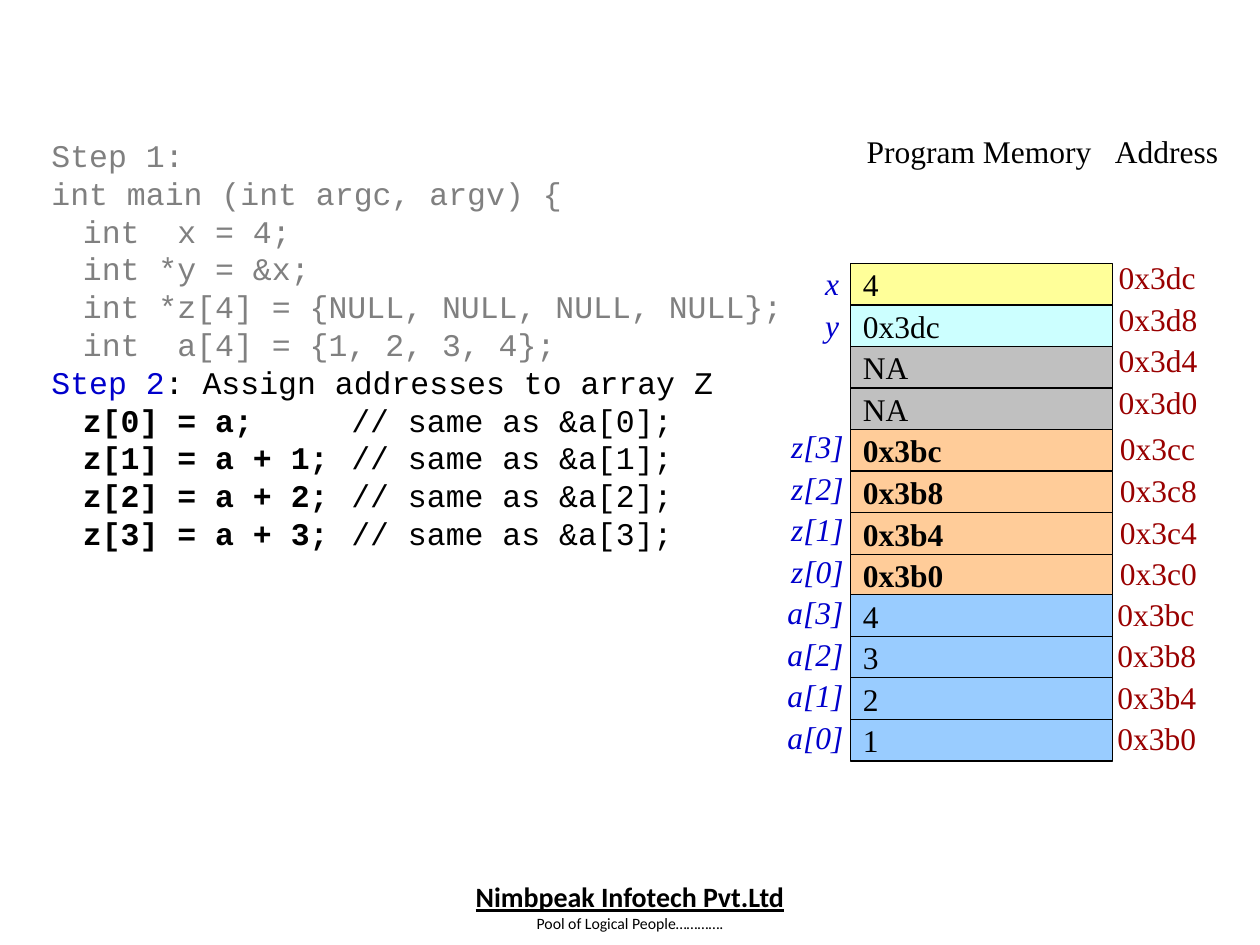
from lxml.etree import SubElement
from pptx import Presentation
from pptx.dml.color import RGBColor
from pptx.enum.shapes import MSO_SHAPE
from pptx.enum.text import MSO_ANCHOR, MSO_AUTO_SIZE, PP_ALIGN
from pptx.oxml.ns import qn
from pptx.util import Inches, Pt

BLACK = RGBColor(0x00, 0x00, 0x00)
GRAY = RGBColor(0x80, 0x80, 0x80)
BLUE = RGBColor(0x00, 0x00, 0xCC)
DARK_RED = RGBColor(0x99, 0x00, 0x00)
YELLOW = RGBColor(0xFF, 0xFF, 0x99)
CYAN = RGBColor(0xCC, 0xFF, 0xFF)
SILVER = RGBColor(0xC0, 0xC0, 0xC0)
ORANGE = RGBColor(0xFF, 0xCC, 0x99)
SKY = RGBColor(0x99, 0xCC, 0xFF)

SERIF, MONO, SANS = "Times New Roman", "Courier New", "Calibri"
ROW_HEIGHT = 0.33


def write(paragraph, text, font=SERIF, size=18, color=BLACK,
          bold=False, italic=False, underline=False):
    """Append one formatted run to the paragraph."""
    run = paragraph.add_run()
    run.text = text
    run.font.name, run.font.size = font, Pt(size)
    run.font.bold, run.font.italic, run.font.underline = bold, italic, underline
    run.font.color.rgb = color


def add_box(left, top, width, height=0.4, wrap=False):
    """Add a text box that grows with its text and return its frame."""
    box = slide.shapes.add_textbox(Inches(left), Inches(top),
                                   Inches(width), Inches(height))
    frame = box.text_frame
    frame.word_wrap = wrap
    frame.auto_size = MSO_AUTO_SIZE.SHAPE_TO_FIT_TEXT
    return frame


prs = Presentation()
prs.slide_width, prs.slide_height = Inches(10), Inches(7.5)
slide = prs.slides.add_slide(prs.slide_layouts[6])

# Footer
footer = slide.shapes.add_table(1, 2, Inches(1.58), Inches(6.99),
                                Inches(6.67), Inches(0.51)).table
footer.first_row = footer.horz_banding = False
footer.columns[0].width, footer.columns[1].width = Inches(0.17), Inches(6.5)
for cell in footer.rows[0].cells:
    cell.fill.background()
    cell.margin_left = cell.margin_right = Inches(0.06)
    cell.margin_top = cell.margin_bottom = 0
footer_text = footer.cell(0, 1).text_frame
company, tagline = footer_text.paragraphs[0], footer_text.add_paragraph()
company.alignment = tagline.alignment = PP_ALIGN.CENTER
write(company, "Nimbpeak Infotech Pvt.Ltd", font=SANS, size=16, bold=True, underline=True)
write(tagline, "Pool of Logical People………….", font=SANS, size=9)

# Program code: each line is a list of (text, colour, bold)
declarations = [
    "Step 1:",
    "int main (int argc, argv) {",
    "\tint  x = 4;",
    "\tint *y = &x;",
    "\tint *z[4] = {NULL, NULL, NULL, NULL};",
    "\tint  a[4] = {1, 2, 3, 4};",
]
code_lines = [[(line, GRAY, False)] for line in declarations]
code_lines.append([("Step 2", BLUE, False),
                   (": Assign addresses to array Z", BLACK, False)])
for index, value in enumerate(["a", "a + 1", "a + 2", "a + 3"]):
    code_lines.append([("\t", BLACK, False),
                       (f"z[{index}] = {value};", BLACK, True),
                       (f" \t// same as &a[{index}];", BLACK, False)])

code = add_box(0.31, 1.03, 6.03, 4.01, wrap=True)
for number, pieces in enumerate(code_lines):
    line = code.add_paragraph() if number else code.paragraphs[0]
    tab_list = SubElement(line._p.get_or_add_pPr(), qn("a:tabLst"))
    for stop in (0.25, 1.62, 2.38):
        SubElement(tab_list, qn("a:tab"), pos=str(Inches(stop)), algn="l")
    for text, color, bold in pieces:
        write(line, text, font=MONO, color=color, bold=bold)

# Column headings
write(add_box(6.78, 1, 1.99).paragraphs[0], "Program Memory")
write(add_box(8.75, 1, 1.02).paragraphs[0], "Address")

# Memory blocks: block top, label top, address top, address left, cells
# Each cell is (variable, value, address, fill)
memory_blocks = [
    (2.09, 2.05, 2.0, 8.78, [("x", "4", "0x3dc", YELLOW),
                             ("y", "0x3dc", "0x3d8", CYAN),
                             ("", "NA", "0x3d4", SILVER),
                             ("", "NA", "0x3d0", SILVER)]),
    (3.41, 3.34, 3.36, 8.79, [("z[3]", "0x3bc", "0x3cc", ORANGE),
                              ("z[2]", "0x3b8", "0x3c8", ORANGE),
                              ("z[1]", "0x3b4", "0x3c4", ORANGE),
                              ("z[0]", "0x3b0", "0x3c0", ORANGE)]),
    (4.72, 4.66, 4.67, 8.77, [("a[3]", "4", "0x3bc", SKY),
                              ("a[2]", "3", "0x3b8", SKY),
                              ("a[1]", "2", "0x3b4", SKY),
                              ("a[0]", "1", "0x3b0", SKY)]),
]
label_places = {"x": (6.45, 0.31), "y": (6.45, 0.31),
                "z": (6.18, 0.62), "a": (6.15, 0.65)}

for block_top, label_top, address_top, address_left, cells in memory_blocks:
    for row, (variable, value, address, fill) in enumerate(cells):
        drop = row * ROW_HEIGHT
        slot = slide.shapes.add_shape(MSO_SHAPE.RECTANGLE,
                                      Inches(6.75), Inches(block_top + drop),
                                      Inches(2.08), Inches(ROW_HEIGHT))
        slot.shadow.inherit = False
        slot.fill.solid()
        slot.fill.fore_color.rgb = fill
        slot.line.color.rgb = BLACK
        slot.line.width = Pt(0.75)
        slot.text_frame.word_wrap = False
        slot.text_frame.vertical_anchor = MSO_ANCHOR.MIDDLE
        content = slot.text_frame.paragraphs[0]
        content.alignment = PP_ALIGN.LEFT
        write(content, value, bold=fill == ORANGE)

        write(add_box(address_left, address_top + drop, 0.84).paragraphs[0],
              address, color=DARK_RED)
        if variable:
            label_left, label_width = label_places[variable[0]]
            write(add_box(label_left, label_top + drop, label_width).paragraphs[0],
                  variable, color=BLUE, italic=True)

prs.save("out.pptx")
